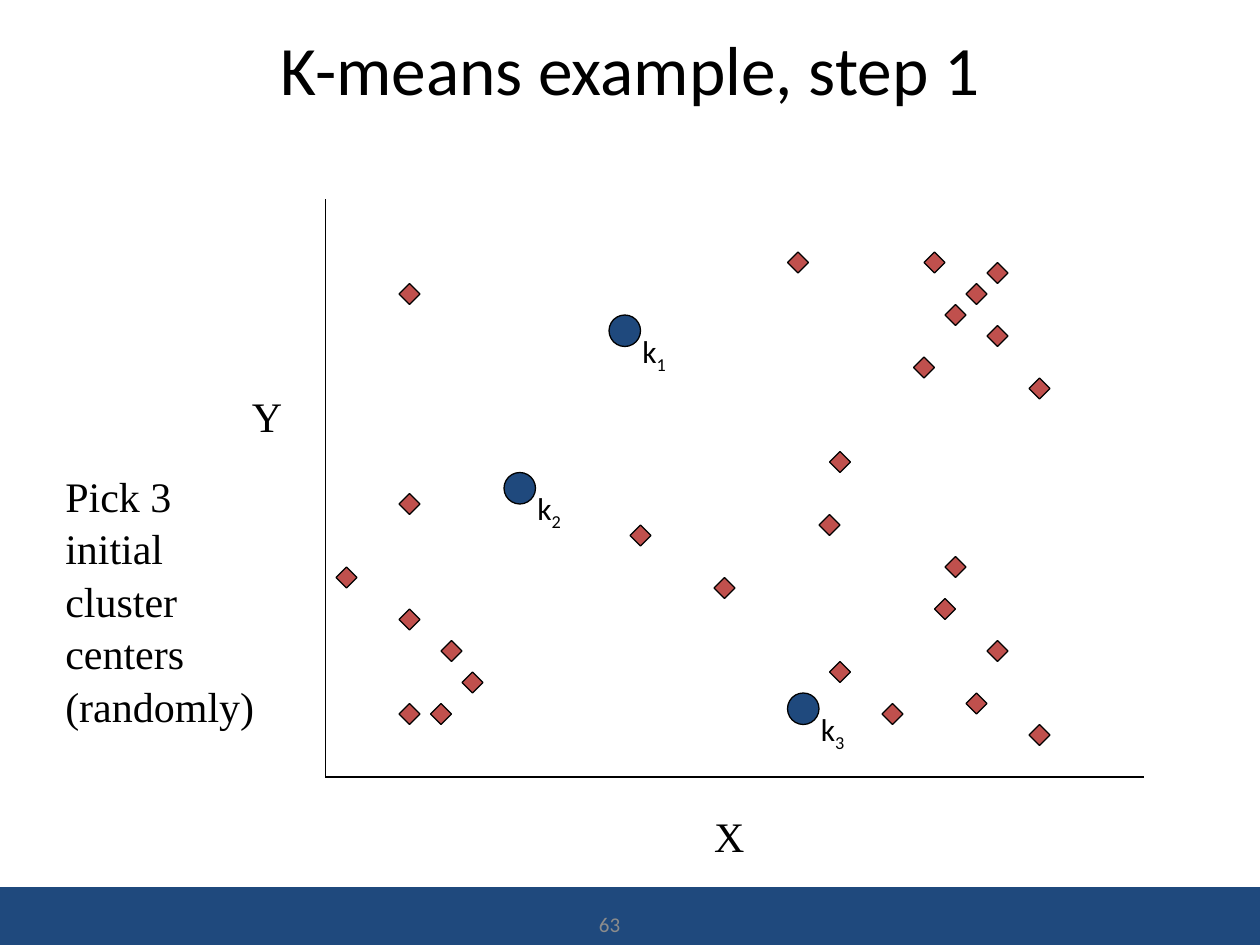
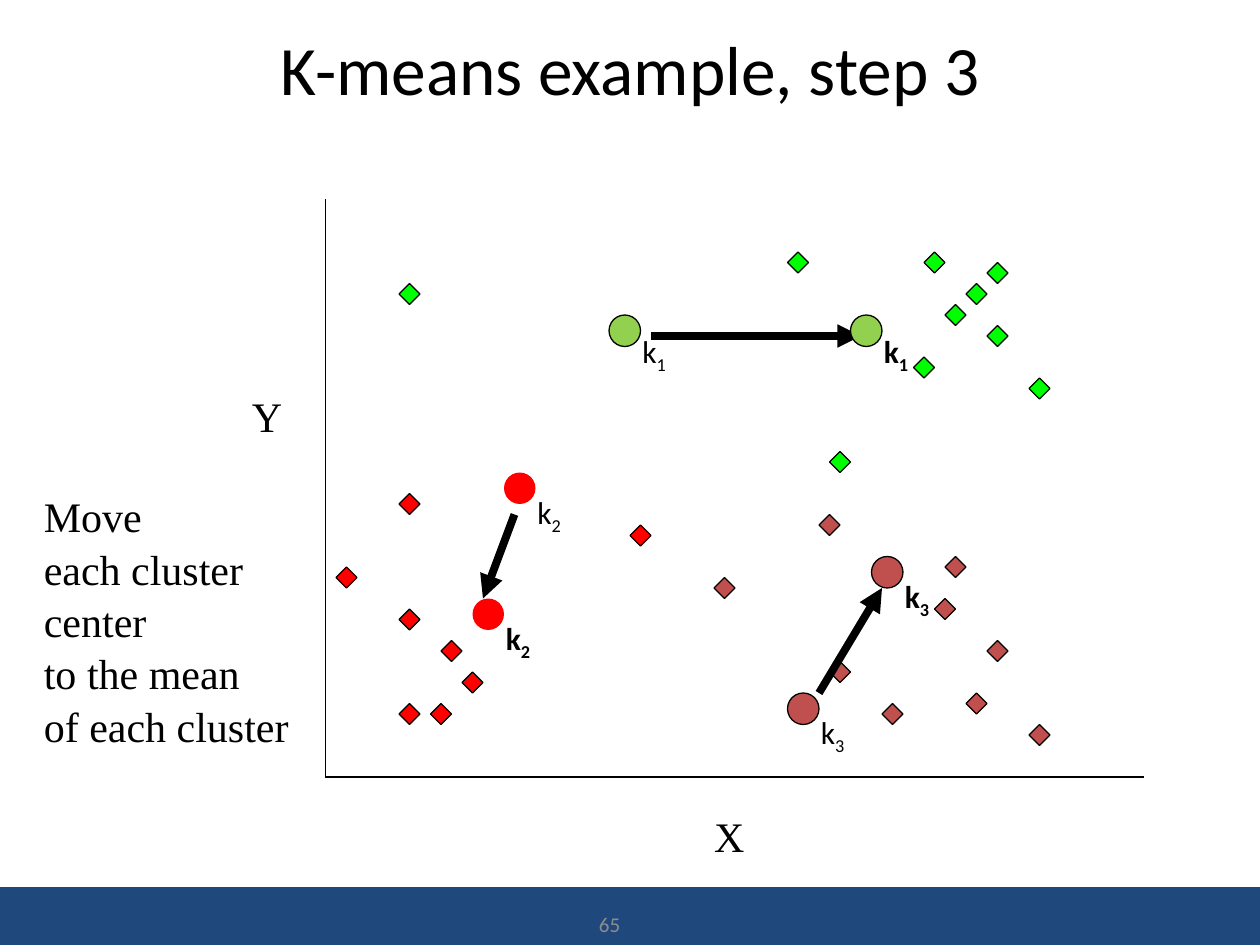
from pptx import Presentation
from pptx.dml.color import RGBColor
from pptx.enum.shapes import MSO_CONNECTOR, MSO_SHAPE
from pptx.enum.text import MSO_ANCHOR, MSO_AUTO_SIZE, PP_ALIGN
from pptx.oxml.ns import qn
from pptx.util import Inches, Pt
from lxml.etree import SubElement

NAVY, BRICK, BLACK, GRAY = "1F497D", "C0504D", "000000", "8C8C8C"
RED, GREEN, LIME = "FF0000", "00FF00", "92D050"

TITLE = {"name": "Calibri", "size": Pt(39.6), "bold": False}
NUMBER = {"name": "Calibri", "size": Pt(12)}
PROSE = {"name": "Times New Roman", "size": Pt(24)}
LABEL = {"name": "Calibri", "size": Pt(18), "bold": False}
BOLD_LABEL = {**LABEL, "bold": True}

CLUSTERS = [
    [(38, 27), (88, 24), (94, 25), (92, 27), (90, 29), (94, 31), (98, 36),
     (75, 24), (79, 43), (87, 34)],
    [(42, 61), (44, 64), (41, 67), (38, 58), (38, 47), (38, 67), (32, 54),
     (60, 50)],
    [(79, 63), (84, 67), (89, 57), (78, 49), (68, 55), (94, 61), (92, 66),
     (90, 53), (98, 69)],
]
START_CENTERS = [(58, 30), (48, 45), (75, 66)]
MOVED_CENTERS = [(81, 30), (45, 57), (83, 53)]
MOVES = [((62, 32), (82, 32)), ((49, 49), (46, 57)), ((78, 66), (84, 56))]
ORIGIN, Y_END, X_END = (31, 74), (31, 19), (109, 74)


def rgb(color):
    return RGBColor.from_string(color)


def grid(*cells):
    return [cell / 12 for cell in cells]


class Deck:
    def __init__(self):
        self.prs = Presentation()
        self.prs.slide_width, self.prs.slide_height = Inches(10), Inches(7.5)
        self.s = None

    def style(self, font, fmt, color=BLACK):
        for key, value in fmt.items():
            setattr(font, key, value)
        font.color.rgb = rgb(color)

    def slide(self, title, number):
        self.s = self.prs.slides.add_slide(self.prs.slide_layouts[5])
        self.shape(MSO_SHAPE.RECTANGLE, (0, 7.04, 10, 0.46), NAVY, None)
        self.text((4, 7.17, 1.02, 0.33), [str(number)], NUMBER, GRAY,
                  PP_ALIGN.RIGHT, MSO_ANCHOR.MIDDLE)
        sp = self.s.shapes.title
        box = {"left": 0.75, "top": 0.25, "width": 8.5, "height": 0.58}
        for key, value in box.items():
            setattr(sp, key, Inches(value))
        tf = sp.text_frame
        tf.text = title
        tf.auto_size = MSO_AUTO_SIZE.NONE
        tf.vertical_anchor = MSO_ANCHOR.MIDDLE
        p = tf.paragraphs[0]
        p.alignment = PP_ALIGN.CENTER
        self.style(p.runs[0].font, TITLE)

    def shape(self, kind, box, fill, line=BLACK):
        sp = self.s.shapes.add_shape(kind, *map(Inches, box))
        sp.shadow.inherit = False
        sp.fill.solid()
        sp.fill.fore_color.rgb = rgb(fill)
        if line:
            sp.line.color.rgb = rgb(line)
            sp.line.width = Pt(0.75)
        else:
            sp.line.fill.background()

    def text(self, box, lines, fmt, color=BLACK, align=PP_ALIGN.LEFT,
             anchor=MSO_ANCHOR.TOP, spacing=1.0):
        tf = self.s.shapes.add_textbox(*map(Inches, box)).text_frame
        tf.word_wrap = True
        tf.vertical_anchor = anchor
        for i, line in enumerate(lines):
            p = tf.add_paragraph() if i else tf.paragraphs[0]
            p.alignment = align
            p.line_spacing = spacing
            r = p.add_run()
            r.text = line
            self.style(r.font, fmt, color)
        return tf

    def line(self, start, end, width=0.75, arrow=False):
        ends = map(Inches, grid(*start, *end))
        sp = self.s.shapes.add_connector(MSO_CONNECTOR.STRAIGHT, *ends)
        sp.line.color.rgb = rgb(BLACK)
        sp.line.width = Pt(width)
        if arrow:
            SubElement(sp.line._get_or_add_ln(), qn("a:tailEnd"), type="triangle")
        SubElement(sp._element.spPr, qn("a:effectLst"))

    def points(self, colors):
        for cluster, color in zip(CLUSTERS, colors):
            for x, y in cluster:
                self.shape(MSO_SHAPE.DIAMOND, grid(x, y, 2, 2), color)

    def axes(self):
        self.line(Y_END, ORIGIN)
        self.line(ORIGIN, X_END)
        self.text((5.57, 6.38, 0.44, 0.5), ["X"], PROSE)
        self.text((1.9, 3.05, 0.44, 0.5), ["Y"], PROSE)

    def centers(self, places, colors, fmt=LABEL, anchors=(MSO_ANCHOR.TOP,) * 3):
        for k, ((x, y), color, anchor) in enumerate(zip(places, colors, anchors), 1):
            line = None if color == RED else BLACK
            self.shape(MSO_SHAPE.OVAL, grid(x, y, 3, 3), color, line)
            tf = self.text(grid(x + 2, y + 1, 7, 6), ["k"], fmt, anchor=anchor)
            r = tf.paragraphs[0].add_run()
            r.text = str(k)
            self.style(r.font, fmt)
            r.font._element.set("baseline", "-25000")

    def caption(self, box, lines):
        self.text(box, lines, PROSE, spacing=1.04)


def main():
    deck = Deck()

    deck.slide("K-means example, step 1", 63)
    deck.points([BRICK] * 3)
    deck.centers(START_CENTERS, [NAVY] * 3)
    deck.axes()
    deck.caption((0.42, 3.67, 1.8, 2.5),
                 ["Pick 3", "initial", "cluster", "centers", "(randomly)"])

    deck.slide("K-means example, step 3", 65)
    deck.points([GREEN, RED, BRICK])
    for start, end in MOVES:
        deck.line(start, end, 4.5, arrow=True)
    deck.axes()
    deck.caption((0.25, 3.83, 2.33, 2.5),
                 ["Move", "each cluster center", "to the mean", "of each cluster"])
    anchors = [MSO_ANCHOR.TOP, MSO_ANCHOR.MIDDLE, MSO_ANCHOR.MIDDLE]
    for places, fmt in ((START_CENTERS, LABEL), (MOVED_CENTERS, BOLD_LABEL)):
        deck.centers(places, [LIME, RED, BRICK], fmt, anchors)

    deck.prs.save("out.pptx")


if __name__ == "__main__":
    main()
